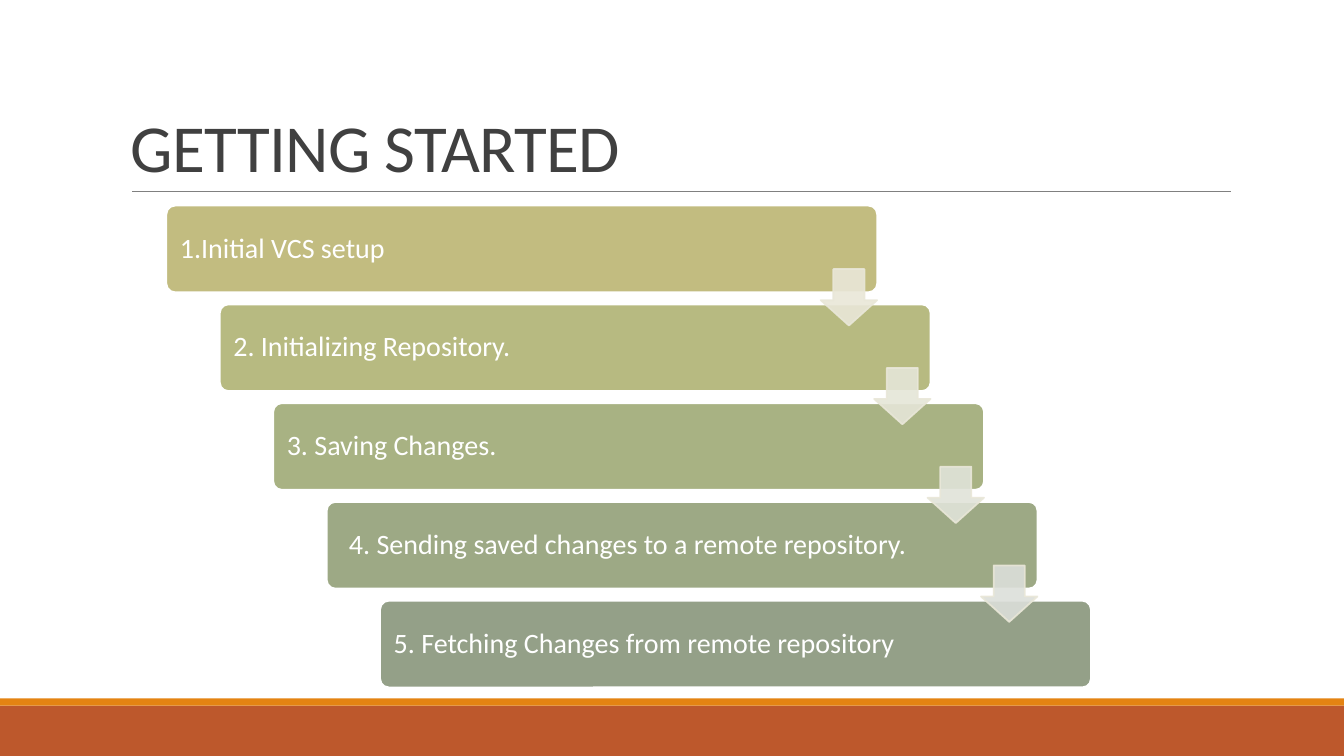
"""Build the Getting Started slide with its staircase of five steps."""
import pptx
import pptx.dml.color
import pptx.enum.shapes
import pptx.enum.text
import pptx.oxml.ns
import pptx.util
from lxml import etree

Inches = pptx.util.Inches
Pt = pptx.util.Pt
RGBColor = pptx.dml.color.RGBColor
Shapes = pptx.enum.shapes.MSO_SHAPE
Anchor = pptx.enum.text.MSO_ANCHOR
Align = pptx.enum.text.PP_ALIGN
qn = pptx.oxml.ns.qn

WHITE = RGBColor(0xFF, 0xFF, 0xFF)
RUST = RGBColor(0xBD, 0x58, 0x2C)
ORANGE = RGBColor(0xE4, 0x83, 0x12)
GRAY = RGBColor(0x80, 0x80, 0x80)
CHARCOAL = RGBColor(0x40, 0x40, 0x40)
ARROW_EDGE = RGBColor(0xE9, 0xE7, 0xD8)
STEP_COLORS = [RGBColor.from_string(code) for code in ("C2BC80", "B7BA81", "A8B283", "9DA985", "94A088")]
ARROW_COLORS = [RGBColor.from_string(code) for code in ("E9E7D8", "E5E6D8", "E0E3D9", "DCDFDA")]
STEPS = [
    ("1.Initial VCS setup", Align.LEFT),
    ("2. Initializing Repository.", Align.LEFT),
    ("3. Saving Changes.", Align.LEFT),
    ("4. Sending saved changes to a remote repository.", Align.CENTER),
    ("5. Fetching Changes from remote repository", Align.LEFT),
]
STEP_RIGHT, STEP_DOWN = 0.53, 0.98


def apply(target, values):
    """Set each named attribute of the target."""
    for name, value in values.items():
        setattr(target, name, value)


class SlideBuilder:
    """Hold the text style and the current slide."""

    font_name = "Calibri"
    step_frame = {
        "word_wrap": True, "vertical_anchor": Anchor.MIDDLE,
        "margin_left": Inches(0.11), "margin_right": Inches(1.19),
        "margin_top": Inches(0.1), "margin_bottom": Inches(0.1),
    }
    title_frame = {"word_wrap": True, "vertical_anchor": Anchor.BOTTOM}

    def __init__(self, slide):
        self.slide = slide

    def shape(self, kind, box, color, edge=None, adjustments=(), opacity=None):
        """Add a filled preset shape, with an edge when given."""
        shape = self.slide.shapes.add_shape(kind, *map(Inches, box))
        shape.shadow.inherit = False
        for index, value in enumerate(adjustments):
            shape.adjustments[index] = value
        shape.fill.solid()
        shape.fill.fore_color.rgb = color
        if edge is None:
            shape.line.fill.background()
        else:
            shape.line.color.rgb = edge
            shape.line.width = Pt(1.25)
        if opacity is not None:
            for color_element in shape.element.spPr.iter(qn("a:srgbClr")):
                etree.SubElement(color_element, qn("a:alpha"), val=str(opacity * 1000))
        return shape

    def text(self, shape, words, size, color, frame, paragraph_format):
        """Write one styled paragraph into a shape."""
        apply(shape.text_frame, frame)
        paragraph = shape.text_frame.paragraphs[0]
        apply(paragraph, paragraph_format)
        run = paragraph.add_run()
        run.text = words
        apply(run.font, {"name": self.font_name, "size": Pt(size)})
        run.font.color.rgb = color
        return run

    def title(self, words, box):
        """Add the slide title with slightly tightened letters."""
        text_box = self.slide.shapes.add_textbox(*map(Inches, box))
        run = self.text(text_box, words, 48, CHARCOAL, self.title_frame,
                        {"line_spacing": 0.85, "alignment": Align.LEFT})
        run.font._element.set("spc", "-50")

    def rule(self, left, right, top):
        """Add a thin horizontal line."""
        line = self.slide.shapes.add_connector(
            pptx.enum.shapes.MSO_CONNECTOR.STRAIGHT, *map(Inches, (left, top, right, top)))
        line.line.color.rgb = GRAY
        line.line.width = Pt(0.5)
        etree.SubElement(line._element.spPr, qn("a:effectLst"))

    def step(self, index, words, alignment, color):
        """Add one stair of the process."""
        box = (1.65 + index * STEP_RIGHT, 2.04 + index * STEP_DOWN, 7.05, 0.86)
        shape = self.shape(Shapes.ROUNDED_RECTANGLE, box, color, WHITE, [0.1])
        self.text(shape, words, 20, WHITE, self.step_frame,
                  {"line_spacing": 0.9, "alignment": alignment})

    def arrow(self, index, color):
        """Add the arrow leading from one stair to the next."""
        box = (8.14 + index * STEP_RIGHT, 2.67 + index * STEP_DOWN, 0.56, 0.56)
        self.shape(Shapes.DOWN_ARROW, box, color, ARROW_EDGE, [0.55, 0.45], 90)


presentation = pptx.Presentation()
apply(presentation, {"slide_width": Inches(13.33), "slide_height": Inches(7.5)})
builder = SlideBuilder(presentation.slides.add_slide(presentation.slide_layouts[6]))
builder.shape(Shapes.RECTANGLE, (0, 7, 13.33, 0.5), RUST)
builder.shape(Shapes.RECTANGLE, (0, 6.93, 13.33, 0.07), ORANGE)
builder.rule(1.31, 12.21, 1.9)
builder.title("GETTING STARTED", (1.2, 0.31, 11, 1.59))
for index, ((words, alignment), color) in enumerate(zip(STEPS, STEP_COLORS)):
    builder.step(index, words, alignment, color)
for index, color in enumerate(ARROW_COLORS):
    builder.arrow(index, color)
presentation.save("out.pptx")
